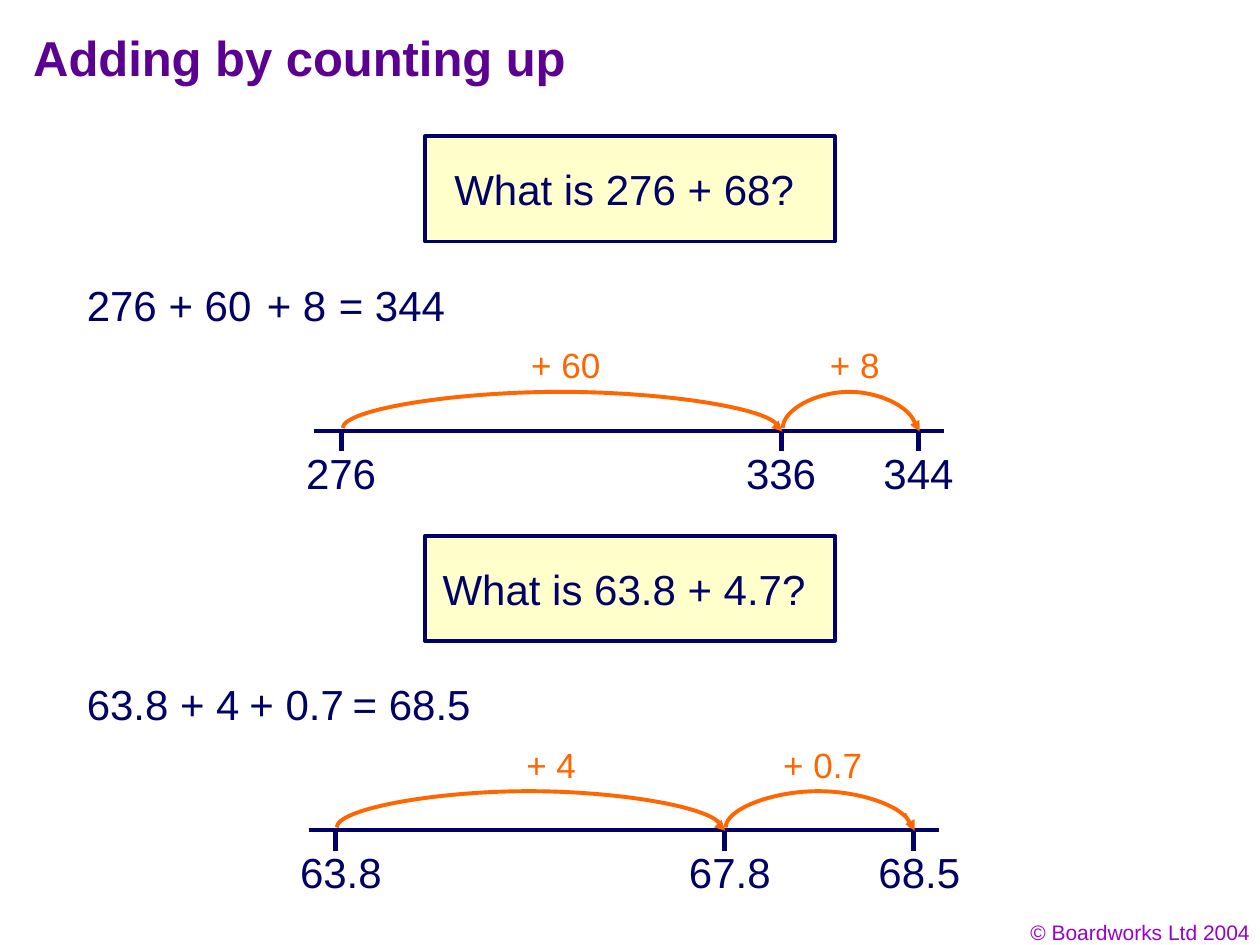
from dataclasses import dataclass

import lxml.etree
import pptx
import pptx.dml.color
import pptx.enum.shapes
import pptx.enum.text
import pptx.oxml
import pptx.oxml.ns
import pptx.util

Cm = pptx.util.Cm
ALIGN = pptx.enum.text.PP_ALIGN
ANCHOR = pptx.enum.text.MSO_ANCHOR
AUTO_SIZE = pptx.enum.text.MSO_AUTO_SIZE


@dataclass(frozen=True)
class Theme:
    """Colours, font and type sizes of the slide."""

    font: str = "Arial"
    heading: str = "5B0091"
    navy: str = "000066"
    text: str = "010066"
    orange: str = "FF6600"
    cream: str = "FFFFCC"
    footer: str = "9900CC"
    title_size: int = 28
    body_size: int = 24
    jump_size: int = 20
    footer_size: int = 12


THEME = Theme()

PROBLEMS = [
    {
        "top": 2.75,
        "question": "What is 276 + 68? ",
        "terms": [("276", 1.5, 1.95), ("+ 60", 3.15, 2.2), ("+ 8", 5.13, 1.75), ("= 344", 6.58, 2.7)],
        "line_left": 6.33,
        "ticks": [("276", 6.88), ("336", 15.75), ("344", 18.52)],
        "label_width": 1.95,
        "jumps": [("+ 60", 10.46, 1.95), ("+ 8", 16.48, 1.55)],
    },
    {
        "top": 10.8,
        "question": "What is 63.8 + 4.7? ",
        "terms": [("63.8", 1.5, 2.2), ("+ 4", 3.38, 1.75), ("+ 0.7", 4.78, 2.45), ("= 68.5", 6.86, 2.9)],
        "line_left": 6.22,
        "ticks": [("63.8", 6.76), ("67.8", 14.6), ("68.5", 18.42)],
        "label_width": 2.2,
        "jumps": [("+ 4", 10.36, 1.55), ("+ 0.7", 15.54, 2.15)],
    },
]


def rgb(value):
    """Turn a hex string into a colour."""
    return pptx.dml.color.RGBColor.from_string(value)


def write_text(shape, text, *, size, color, bold=False, align=ALIGN.LEFT, anchor=ANCHOR.TOP,
               wrap=False, auto_size=AUTO_SIZE.NONE):
    """Write one formatted paragraph into a shape."""
    frame = shape.text_frame
    frame.word_wrap = wrap
    frame.auto_size = auto_size
    frame.vertical_anchor = anchor
    paragraph = frame.paragraphs[0]
    paragraph.text = text
    paragraph.alignment = align
    paragraph.font.name = THEME.font
    paragraph.font.size = pptx.util.Pt(size)
    paragraph.font.bold = bold
    paragraph.font.color.rgb = rgb(color)


def add_label(slide, text, left, top, width, height, **text_format):
    """Add a text box measured in centimetres that grows with its text."""
    box = slide.shapes.add_textbox(Cm(left), Cm(top), Cm(width), Cm(height))
    write_text(box, text, auto_size=AUTO_SIZE.SHAPE_TO_FIT_TEXT, **text_format)


def add_line(slide, start, end, color, weight, arrow=False):
    """Add a straight line, with an arrowhead at its end if asked for."""
    line = slide.shapes.add_connector(
        pptx.enum.shapes.MSO_CONNECTOR.STRAIGHT, *(Cm(value) for value in (*start, *end))
    )
    line.line.color.rgb = rgb(color)
    line.line.width = pptx.util.Pt(weight)
    if arrow:
        tail = lxml.etree.SubElement(line.line._get_or_add_ln(), pptx.oxml.ns.qn("a:tailEnd"))
        tail.set("type", "triangle")
    lxml.etree.SubElement(line._element.spPr, pptx.oxml.ns.qn("a:effectLst"))


def add_arc(slide, left, right, top, bottom):
    """Add an open arch made of two cubic curves."""
    middle = (left + right) / 2
    shoulder = (top + bottom) / 2
    points = [
        (left, shoulder), ((left + middle) / 2, top), (middle, top),
        ((middle + right) / 2, top), (right, shoulder), (right, bottom),
    ]
    builder = slide.shapes.build_freeform(Cm(left), Cm(bottom))
    builder.add_line_segments([(Cm(x), Cm(y)) for x, y in points], close=False)
    shape = builder.convert_to_shape()
    path = shape._element.find(".//" + pptx.oxml.ns.qn("a:path"))
    segments = path.findall(pptx.oxml.ns.qn("a:lnTo"))
    for first in (0, 3):
        curve = lxml.etree.SubElement(path, pptx.oxml.ns.qn("a:cubicBezTo"))
        for segment in segments[first:first + 3]:
            curve.append(segment[0])
            path.remove(segment)
    shape.shadow.inherit = False
    shape.fill.background()
    shape.line.color.rgb = rgb(THEME.orange)
    shape.line.width = pptx.util.Pt(2.25)


def add_question(slide, text, left, top, width, height):
    """Add the framed question."""
    shape = slide.shapes.add_shape(
        pptx.enum.shapes.MSO_SHAPE.RECTANGLE, Cm(left), Cm(top), Cm(width), Cm(height)
    )
    shape.shadow.inherit = False
    shape.fill.solid()
    shape.fill.fore_color.rgb = rgb(THEME.cream)
    shape.line.color.rgb = rgb(THEME.navy)
    shape.line.width = pptx.util.Pt(2.25)
    write_text(shape, text, size=THEME.body_size, color=THEME.navy, align=ALIGN.CENTER, anchor=ANCHOR.MIDDLE)


def add_number_line(slide, problem, axis, length):
    """Add a number line at the given height with its ticks, labels and jumps."""
    left = problem["line_left"]
    ticks = problem["ticks"]
    add_line(slide, (left, axis), (left + length, axis), THEME.navy, 2.25)
    for text, x in ticks:
        add_line(slide, (x, axis), (x, axis + 0.42), THEME.navy, 3)
        add_label(slide, text, x - 0.96, axis + 0.21, problem["label_width"], 1.27,
                  size=THEME.body_size, color=THEME.text)
    jumps = zip(problem["jumps"], ticks, ticks[1:], (0.17, 0.34))
    for (text, label_left, width), (_, start), (_, end), rise in jumps:
        add_arc(slide, start + 0.03, end - 0.06, axis - 0.78, axis - 0.05)
        add_line(slide, (end - 0.17, axis - rise), (end + 0.02, axis + 0.02), THEME.orange, 0.75, arrow=True)
        add_label(slide, text, label_left, axis - 1.87, width, 1.11,
                  size=THEME.jump_size, color=THEME.orange)


def add_problem(slide, problem):
    """Add one question with its sum and number line."""
    top = problem["top"]
    add_question(slide, problem["question"], 8.57, top, 8.26, 2.12)
    for text, left, width in problem["terms"]:
        add_label(slide, text, left, top + 2.75, width, 1.27, size=THEME.body_size, color=THEME.text)
    add_number_line(slide, problem, top + 5.93, 12.7)


def main():
    """Build and save the slide."""
    presentation = pptx.Presentation()
    presentation.slide_width = Cm(25.4)
    presentation.slide_height = Cm(19.05)
    slide = presentation.slides.add_slide(presentation.slide_layouts[6])
    add_label(slide, "© Boardworks Ltd 2004", 19.53, 18.41, 5.92, 0.76,
              size=THEME.footer_size, color=THEME.footer, align=ALIGN.RIGHT, wrap=True)
    title = slide.shapes.add_textbox(Cm(0.42), Cm(0.3), Cm(21.39), Cm(1.7))
    write_text(title, "Adding by counting up", size=THEME.title_size, color=THEME.heading,
               bold=True, anchor=ANCHOR.MIDDLE, wrap=True)
    for problem in PROBLEMS:
        add_problem(slide, problem)
    presentation.save("out.pptx")


if __name__ == "__main__":
    main()
